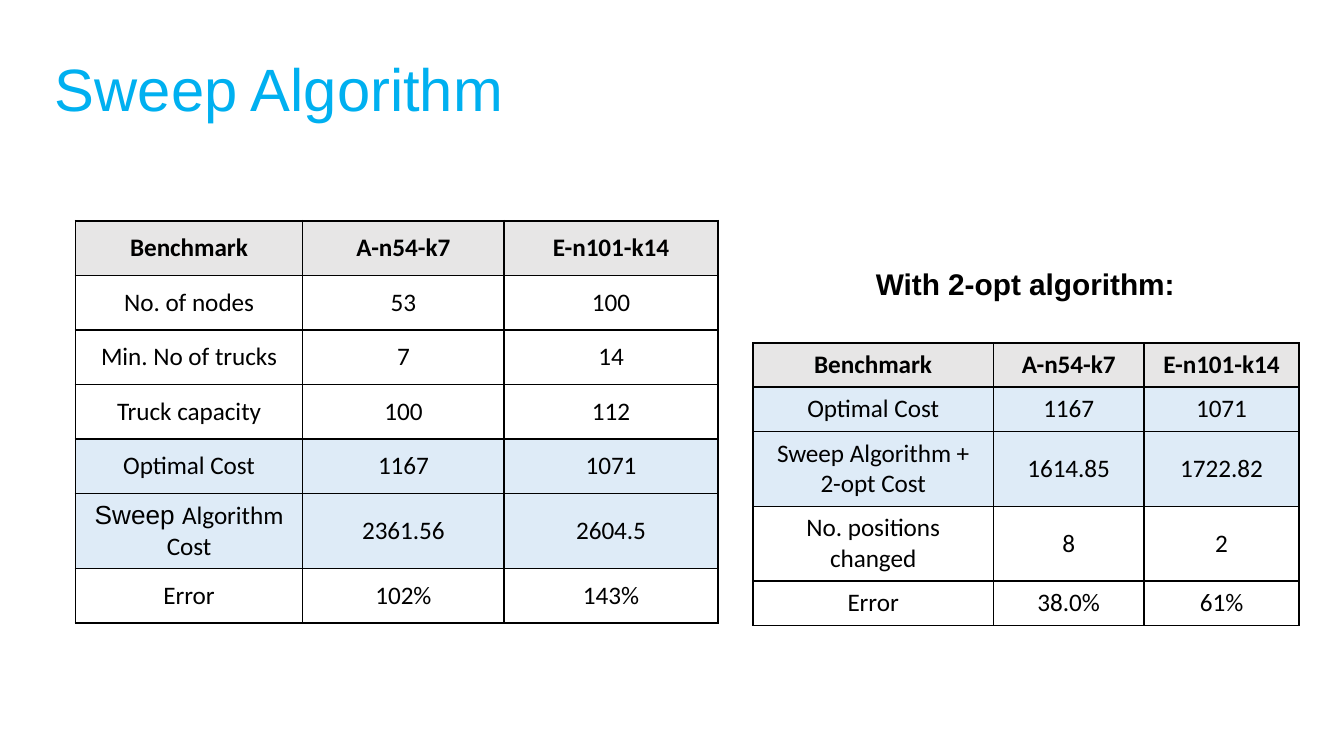
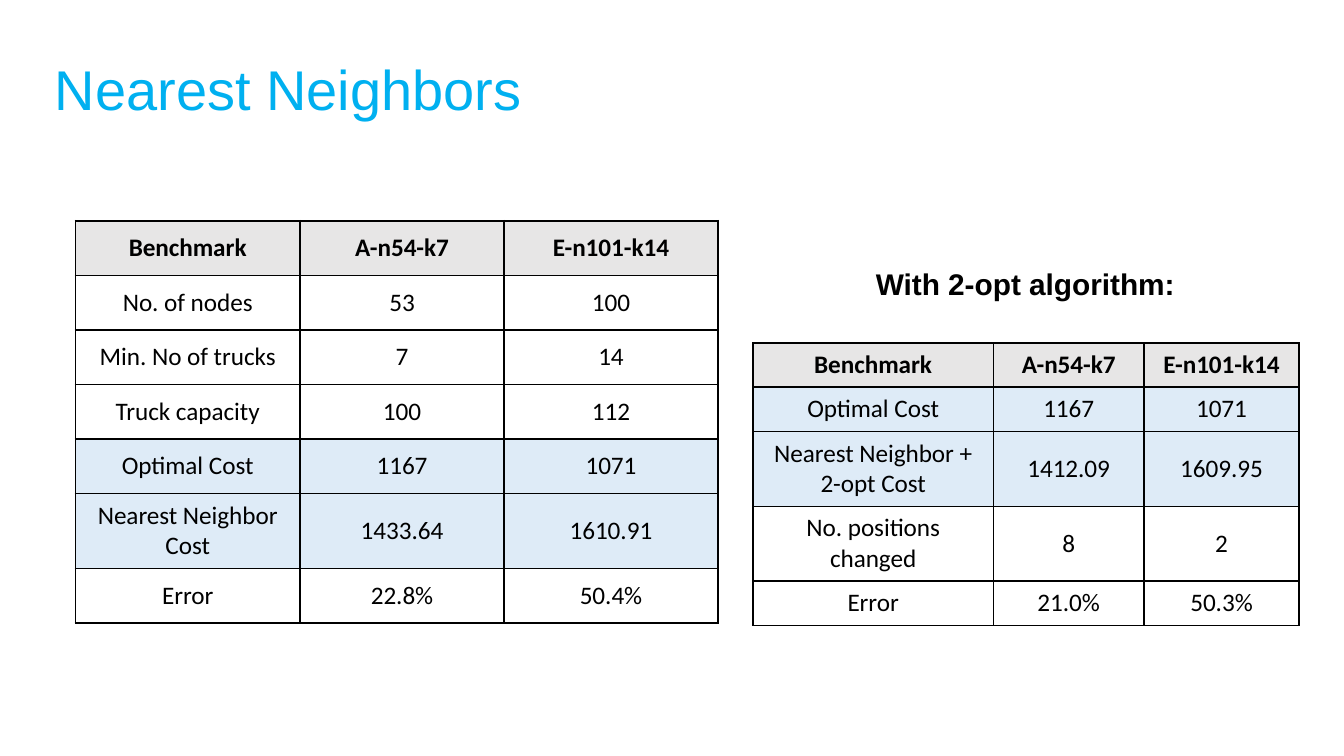
from dataclasses import dataclass

from lxml import etree
from pptx import Presentation
from pptx import util as u
from pptx.dml.color import RGBColor
from pptx.enum import text
from pptx.oxml import ns

# Shared look
WIDTH = 10
HEIGHT = WIDTH * 9 / 16
BLUE, BLACK, HEAD, COST = "00B0F0", "000000", "E7E6E6", "DEEBF7"
SANS, CELL = "Arial", "Calibri"
CELL_SIZE, LEAD_SIZE = 13.5, 14
HEADINGS = ("Benchmark", "A-n54-k7", "E-n101-k14")
TALL = 9.9  # height of a two-line row, in percent of the slide


@dataclass(frozen=True)
class Area:
    """Place in percent of the slide's width and height."""
    left: float
    top: float
    width: float
    height: float


@dataclass(frozen=True)
class Row:
    values: tuple[str, str, str]
    fill: str | None = None
    bold: bool = False
    tall: bool = False
    lead: str = ""  # opening words of the label, set in the sans font


@dataclass(frozen=True)
class Method:
    title: str
    title_size: float
    columns: tuple[float, float, float]
    label: str
    opt_label: str
    costs: tuple[str, str]
    errors: tuple[str, str]
    opt_costs: tuple[str, str]
    opt_errors: tuple[str, str]
    lead: str = ""


TITLE = Area(3.1, 5.65, 41.4, 13.2)
RESULTS = Area(5.62, 29.2, 47.8, 53.2)
CAPTION = Area(62, 31.9, 28.6, 9.8)
OPT_RESULTS = Area(56.02, 45.35, 40.6, 37.4)
OPT_COLUMNS = (17.9, 11.2, 11.55)

HEAD_ROW = Row(HEADINGS, HEAD, bold=True)
OPTIMAL_ROW = Row(("Optimal Cost", "1167", "1071"), COST)
PROBLEM_ROWS = [
    Row(("No. of nodes", "53", "100")),
    Row(("Min. No of trucks", "7", "14")),
    Row(("Truck capacity", "100", "112")),
]
MOVED_ROW = Row(("No. positions changed", "8", "2"), tall=True)

METHODS = [
    Method("Sweep Algorithm", 32, (16.9, 15, 15.9),
           "Algorithm\nCost", "Sweep Algorithm + 2-opt Cost",
           ("2361.56", "2604.5"), ("102%", "143%"),
           ("1614.85", "1722.82"), ("38.0%", "61%"), lead="Sweep "),
    Method("Nearest Neighbors", 30, (16.7, 15.2, 15.9),
           "Nearest Neighbor Cost", "Nearest Neighbor + 2-opt Cost",
           ("1433.64", "1610.91"), ("22.8%", "50.4%"),
           ("1412.09", "1609.95"), ("21.0%", "50.3%")),
]


def color(value: str) -> RGBColor:
    return RGBColor.from_string(value)


def across(share: float) -> int:
    return u.Inches(WIDTH * share / 100)


def down(share: float) -> int:
    return u.Inches(HEIGHT * share / 100)


def place(area: Area) -> tuple[int, int, int, int]:
    return across(area.left), down(area.top), across(area.width), down(area.height)


def style(r, size: float, font: str, fill: str, bold: bool = False) -> None:
    r.font.size, r.font.name, r.font.bold = u.Pt(size), font, bold
    r.font.color.rgb = color(fill)


def add_line_of_text(s, area: Area, words: str, size: float, fill: str,
                     spacing: float, bold: bool = False):
    tf = s.shapes.add_textbox(*place(area)).text_frame
    tf.word_wrap = True
    tf.text = words
    p = tf.paragraphs[0]
    p.line_spacing = spacing
    style(p.runs[0], size, SANS, fill, bold)
    return tf


def add_borders(cell) -> None:
    tcPr = cell._tc.get_or_add_tcPr()
    for side in ("a:lnL", "a:lnR", "a:lnT", "a:lnB"):
        ln = etree.SubElement(tcPr, ns.qn(side), w=str(u.Pt(1)))
        solid = etree.SubElement(ln, ns.qn("a:solidFill"))
        etree.SubElement(solid, ns.qn("a:srgbClr"), val=BLACK)


def fill_cell(cell, words: str, row: Row, lead: str) -> None:
    add_borders(cell)
    if row.fill:
        cell.fill.solid()
        cell.fill.fore_color.rgb = color(row.fill)
    else:
        cell.fill.background()
    cell.vertical_anchor = text.MSO_ANCHOR.MIDDLE
    tf = cell.text_frame
    tf.text = words
    for p in tf.paragraphs:
        p.alignment = text.PP_ALIGN.CENTER
        for r in p.runs:
            style(r, CELL_SIZE, CELL, BLACK, row.bold)
    if lead:
        first, rest = tf.paragraphs[0].runs[0], tf.paragraphs[0].add_run()
        first.text, rest.text = lead, first.text
        style(first, LEAD_SIZE, SANS, BLACK)
        style(rest, CELL_SIZE, CELL, BLACK)


def add_results(s, area: Area, columns: tuple[float, ...], rows: list[Row]) -> None:
    table = s.shapes.add_table(len(rows), len(columns), *place(area)).table
    table.horz_banding = False
    for column, share in zip(table.columns, columns):
        column.width = across(share)
    # Single-line rows share what the tall rows leave
    tall = sum(row.tall for row in rows)
    single = (area.height - tall * TALL) / (len(rows) - tall)
    for i, row in enumerate(rows):
        table.rows[i].height = down(TALL if row.tall else single)
        for j, words in enumerate(row.values):
            fill_cell(table.cell(i, j), words, row, row.lead if j == 0 else "")


def add_method(prs, m: Method) -> None:
    s = prs.slides.add_slide(prs.slide_layouts[6])
    tf = add_line_of_text(s, TITLE, m.title, m.title_size, BLUE, 0.9)
    tf.vertical_anchor = text.MSO_ANCHOR.MIDDLE

    # Plain method
    add_results(s, RESULTS, m.columns, [
        HEAD_ROW, *PROBLEM_ROWS, OPTIMAL_ROW,
        Row((m.label, *m.costs), COST, tall=True, lead=m.lead),
        Row(("Error", *m.errors)),
    ])

    # Method improved with 2-opt
    tf = add_line_of_text(s, CAPTION, "With 2-opt algorithm:", 16, BLACK, 1.5, bold=True)
    tf.paragraphs[0].alignment = text.PP_ALIGN.CENTER
    add_results(s, OPT_RESULTS, OPT_COLUMNS, [
        HEAD_ROW, OPTIMAL_ROW,
        Row((m.opt_label, *m.opt_costs), COST, tall=True),
        MOVED_ROW,
        Row(("Error", *m.opt_errors)),
    ])


def main() -> None:
    prs = Presentation()
    prs.slide_width, prs.slide_height = u.Inches(WIDTH), u.Inches(HEIGHT)
    for m in METHODS:
        add_method(prs, m)
    prs.save("out.pptx")


if __name__ == "__main__":
    main()
